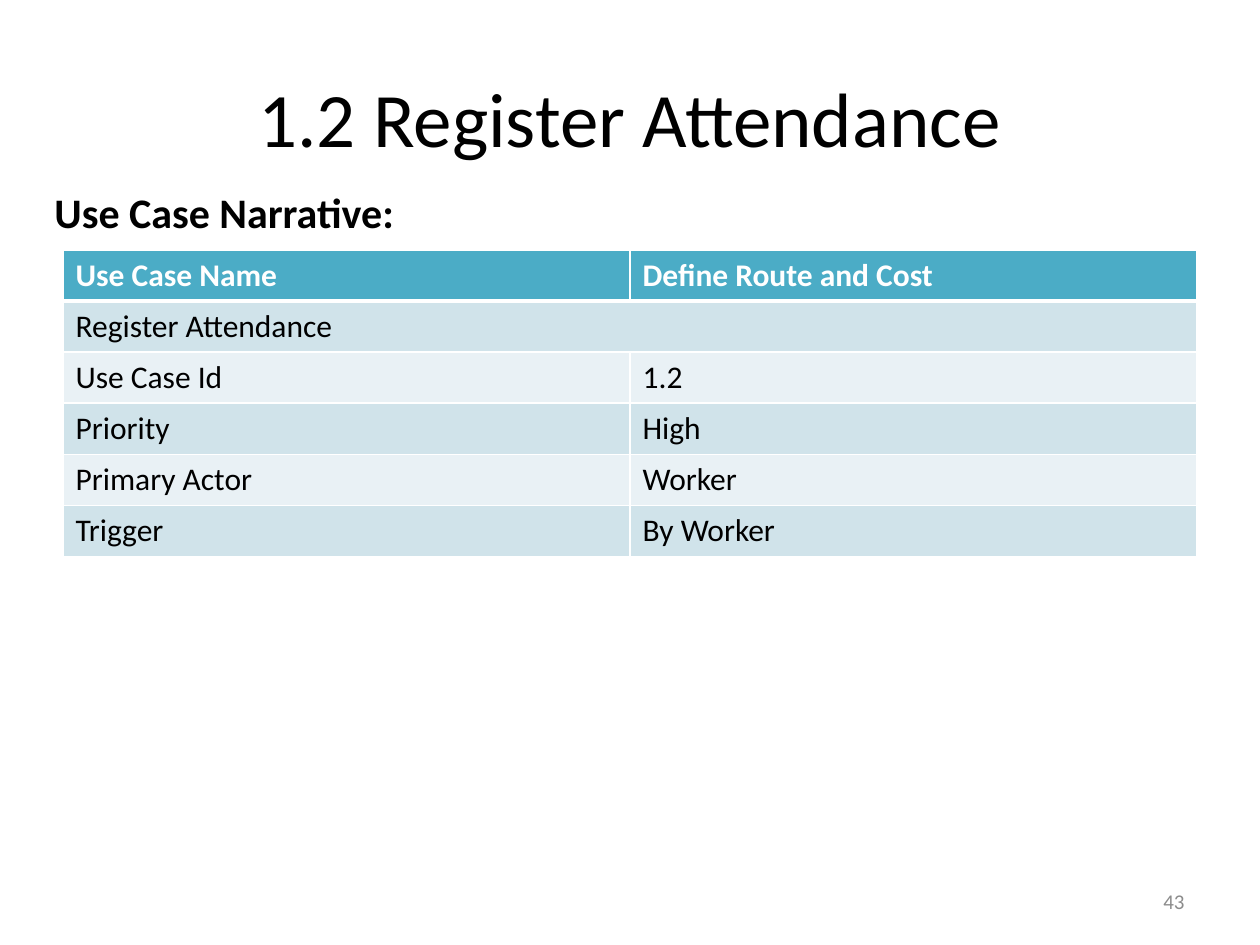
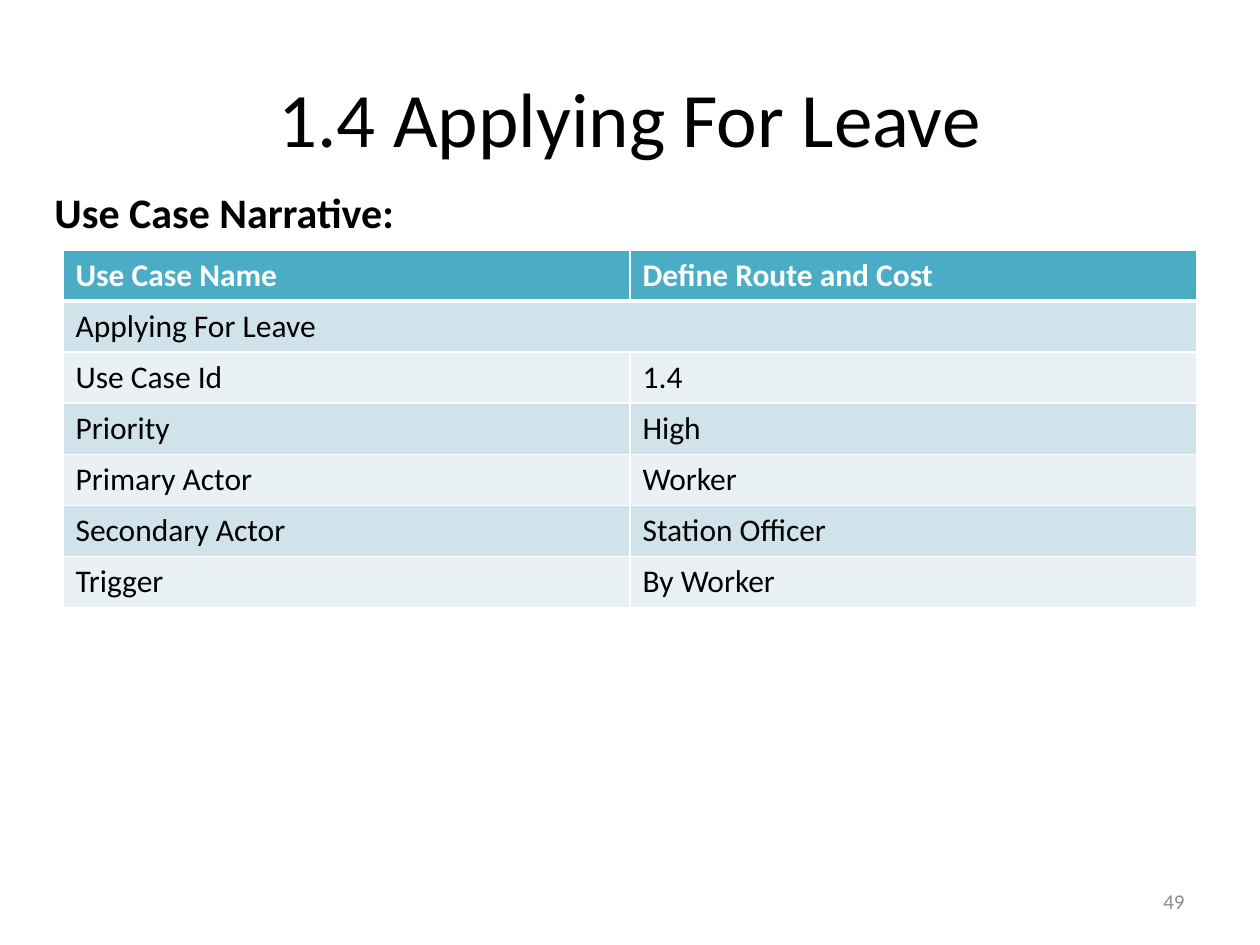
from lxml import etree
from pptx import Presentation
from pptx.dml.color import RGBColor
from pptx.enum import text
from pptx.oxml import ns
from pptx.util import Pt

HEADER = ("Use Case Name", "Define Route and Cost")
SUBTITLE = "Use Case Narrative:"
USE_CASES = [
    {
        "id": "1.2",
        "name": "Register Attendance",
        "page": 43,
        "details": [
            ("Priority", "High"),
            ("Primary Actor", "Worker"),
            ("Trigger", "By Worker"),
        ],
    },
    {
        "id": "1.4",
        "name": "Applying For Leave",
        "page": 49,
        "details": [
            ("Priority", "High"),
            ("Primary Actor", "Worker"),
            ("Secondary Actor", "Station Officer"),
            ("Trigger", "By Worker"),
        ],
    },
]

FONT = "Calibri"
BLACK = RGBColor(0x00, 0x00, 0x00)
WHITE = RGBColor(0xFF, 0xFF, 0xFF)
GREY = RGBColor(0x8C, 0x8C, 0x8C)
TEAL = RGBColor(0x4B, 0xAC, 0xC6)
BANDS = (RGBColor(0xD0, 0xE3, 0xEA), RGBColor(0xE9, 0xF1, 0xF5))

SLIDE_WIDTH, SLIDE_HEIGHT = 720, 540
MARGIN = 36
CONTENT_WIDTH = SLIDE_WIDTH - 2 * MARGIN
TABLE_TOP = 142.8
ROW_HEIGHT = 29.2
THIN, THICK = 1, 3


def place(shape, left, top, width, height):
    shape.left, shape.top = Pt(left), Pt(top)
    shape.width, shape.height = Pt(width), Pt(height)


def write(frame, words, size, color, bold=False, align=text.PP_ALIGN.LEFT):
    frame.text = words
    paragraph = frame.paragraphs[0]
    paragraph.alignment = align
    font = paragraph.font
    font.name, font.size, font.bold = FONT, Pt(size), bold
    font.color.rgb = color


def add_label(slide, box, words, size, color, anchor=text.MSO_ANCHOR.TOP, **style):
    frame = slide.shapes.add_textbox(*map(Pt, box)).text_frame
    frame.word_wrap = True
    frame.vertical_anchor = anchor
    write(frame, words, size, color, **style)


def add_borders(cell, top, bottom):
    """Draw white borders; call before the fill, which must follow them."""
    properties = cell._tc.get_or_add_tcPr()
    widths = {"a:lnL": THIN, "a:lnR": THIN, "a:lnT": top, "a:lnB": bottom}
    for tag, width in widths.items():
        line = etree.SubElement(properties, ns.qn(tag), w=str(Pt(width)))
        fill = etree.SubElement(line, ns.qn("a:solidFill"))
        etree.SubElement(fill, ns.qn("a:srgbClr"), val=str(WHITE))


def add_narrative(slide, use_case):
    rows = [HEADER, (use_case["name"], ""), ("Use Case Id", use_case["id"])]
    rows += use_case["details"]
    columns = len(HEADER)
    table = slide.shapes.add_table(
        len(rows), columns, Pt(MARGIN), Pt(TABLE_TOP),
        Pt(CONTENT_WIDTH), Pt(ROW_HEIGHT * len(rows)),
    ).table
    for r, row in enumerate(rows):
        table.rows[r].height = Pt(ROW_HEIGHT)
        is_header = r == 0
        for c, words in enumerate(row):
            cell = table.cell(r, c)
            add_borders(cell, top=THICK if r == 1 else THIN,
                        bottom=THICK if is_header else THIN)
            cell.fill.solid()
            cell.fill.fore_color.rgb = TEAL if is_header else BANDS[(r - 1) % 2]
            write(cell.text_frame, words, 18, WHITE if is_header else BLACK,
                  bold=is_header)
    table.cell(1, 0).merge(table.cell(1, columns - 1))


def add_use_case(deck, use_case):
    slide = deck.slides.add_slide(deck.slide_layouts[5])
    title = slide.shapes.title
    place(title, MARGIN, 21.6, CONTENT_WIDTH, 90)
    title.text_frame.vertical_anchor = text.MSO_ANCHOR.MIDDLE
    write(title.text_frame, f"{use_case['id']} {use_case['name']}", 44, BLACK,
          align=text.PP_ALIGN.CENTER)
    add_narrative(slide, use_case)
    add_label(slide, (516, 500.5, 168, 28.75), str(use_case["page"]), 12, GREY,
              anchor=text.MSO_ANCHOR.MIDDLE, align=text.PP_ALIGN.RIGHT)
    add_label(slide, (24, 103, 378, 36), SUBTITLE, 24, BLACK, bold=True)


def main():
    deck = Presentation()
    deck.slide_width, deck.slide_height = Pt(SLIDE_WIDTH), Pt(SLIDE_HEIGHT)
    for use_case in USE_CASES:
        add_use_case(deck, use_case)
    deck.save("out.pptx")


if __name__ == "__main__":
    main()
